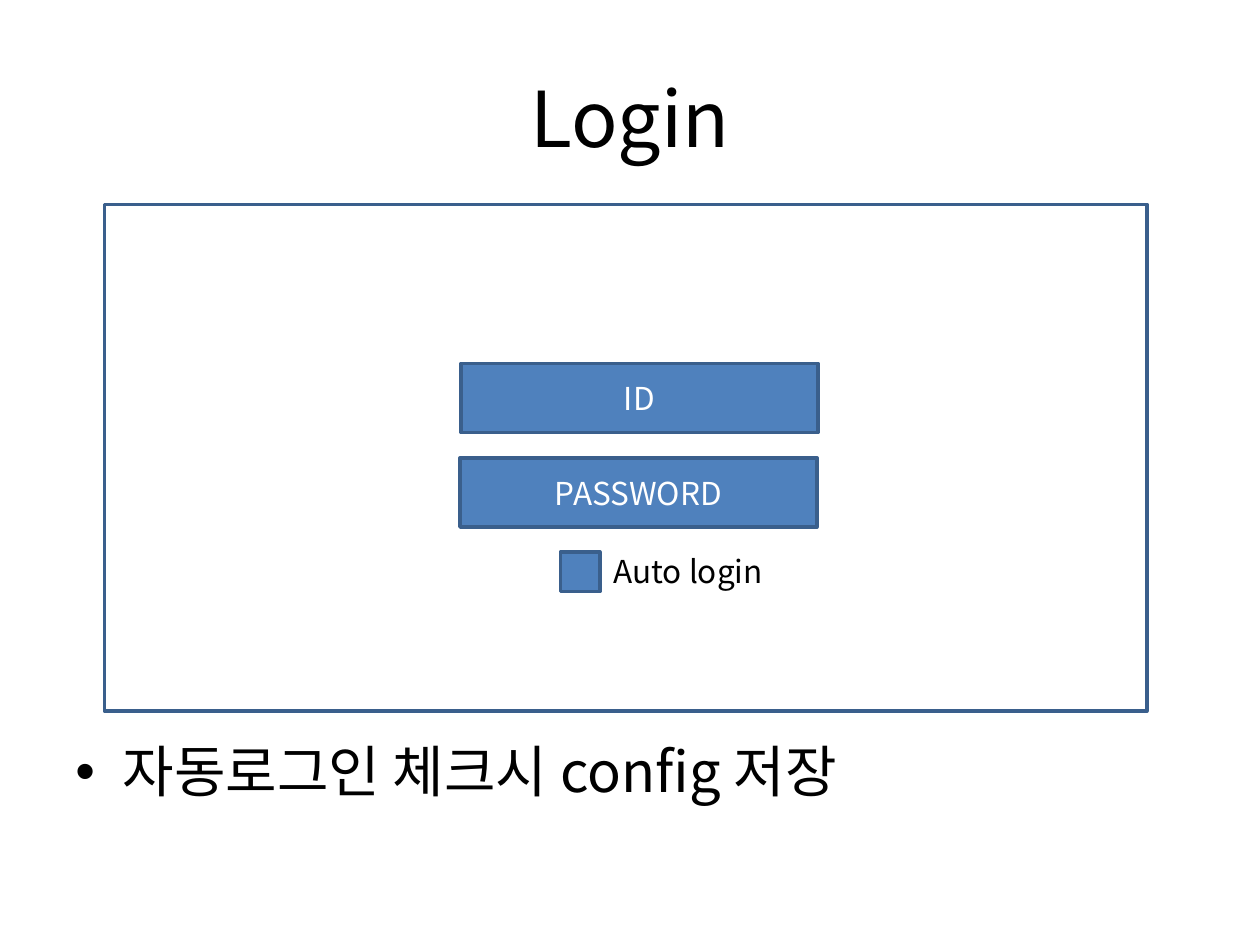
from pptx import Presentation
from pptx.dml.color import RGBColor
from pptx.enum.shapes import MSO_SHAPE
from pptx.enum.text import MSO_ANCHOR, PP_ALIGN
from pptx.oxml.ns import qn
from pptx.util import Pt
from lxml.etree import SubElement

FONT = "Noto Sans CJK KR"
COLORS = {"text": "000000", "fill": "4F81BD", "line": "3A5F8C", "label": "FFFFFF"}

TITLE = ("Login", (36, 21.6, 648, 90))
NOTE = ("자동로그인 체크시 config 저장", (36, 417.6, 648, 64.8))
CHECK_LABEL = ("Auto login", (343.5, 311.8, 139, 51))
BOXES = [
    ("", (59.6, 116.8, 595.8, 289.6), None),
    ("ID", (263.4, 207.6, 204, 39.6), "fill"),
    ("PASSWORD", (262.8, 261.6, 204, 39.6), "fill"),
    ("", (320.2, 315.4, 22.6, 22.6), "fill"),
]
BULLET_INDENT = 27


def rgb(name):
    return RGBColor.from_string(COLORS[name])


def place(sp, box):
    for key, value in zip(("left", "top", "width", "height"), box):
        setattr(sp, key, Pt(value))


def write(sp, text, size, color="text", align=PP_ALIGN.LEFT, anchor=MSO_ANCHOR.TOP):
    tf = sp.text_frame
    for key, value in {"word_wrap": True, "vertical_anchor": anchor}.items():
        setattr(tf, key, value)
    p = tf.paragraphs[0]
    p.alignment = align
    r = p.add_run()
    r.text = text
    for key, value in {"name": FONT, "size": Pt(size)}.items():
        setattr(r.font, key, value)
    r.font.color.rgb = rgb(color)
    SubElement(r.font._element, qn("a:ea"), typeface=FONT)
    return p


def add_box(s, text, box, fill):
    sp = s.shapes.add_shape(MSO_SHAPE.RECTANGLE, *map(Pt, box))
    sp.shadow.inherit = False
    if fill:
        sp.fill.solid()
        sp.fill.fore_color.rgb = rgb(fill)
    else:
        sp.fill.background()
    sp.line.color.rgb = rgb("line")
    sp.line.width = Pt(2)
    if text:
        write(sp, text, 18, "label", PP_ALIGN.CENTER, MSO_ANCHOR.MIDDLE)


def add_text(s, text, box, size):
    return write(s.shapes.add_textbox(*map(Pt, box)), text, size)


def add_bullet(p):
    pPr = p._p.get_or_add_pPr()
    pPr.set("marL", str(Pt(BULLET_INDENT)))
    pPr.set("indent", str(-Pt(BULLET_INDENT)))
    SubElement(pPr, qn("a:buFont"), typeface="Arial")
    SubElement(pPr, qn("a:buChar"), char="•")


def main():
    prs = Presentation()
    prs.slide_width, prs.slide_height = Pt(720), Pt(540)
    s = prs.slides.add_slide(prs.slide_layouts[5])

    text, box = TITLE
    place(s.shapes.title, box)
    write(s.shapes.title, text, 44, "text", PP_ALIGN.CENTER, MSO_ANCHOR.MIDDLE)

    p = add_text(s, *NOTE, 32)
    p.space_before = Pt(6.4)
    add_bullet(p)

    for item in BOXES:
        add_box(s, *item)
    add_text(s, *CHECK_LABEL, 18)

    prs.save("out.pptx")


if __name__ == "__main__":
    main()
